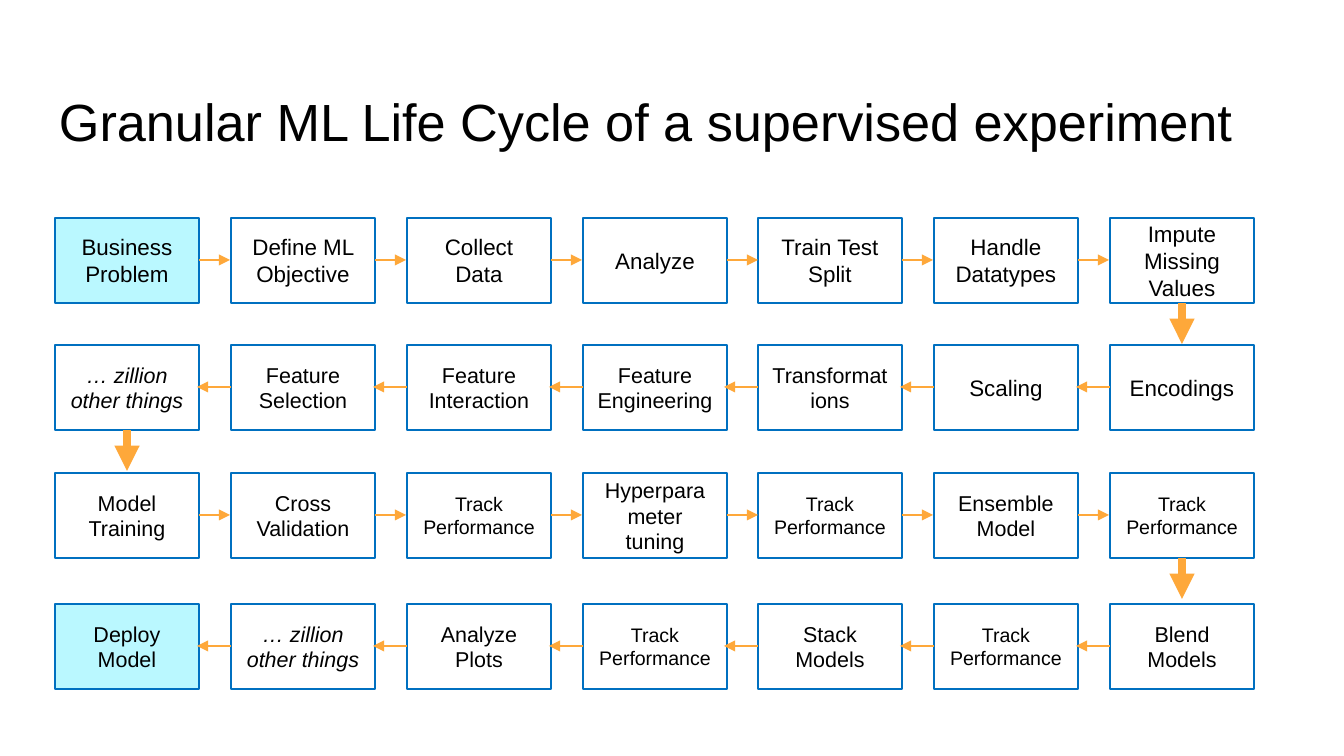
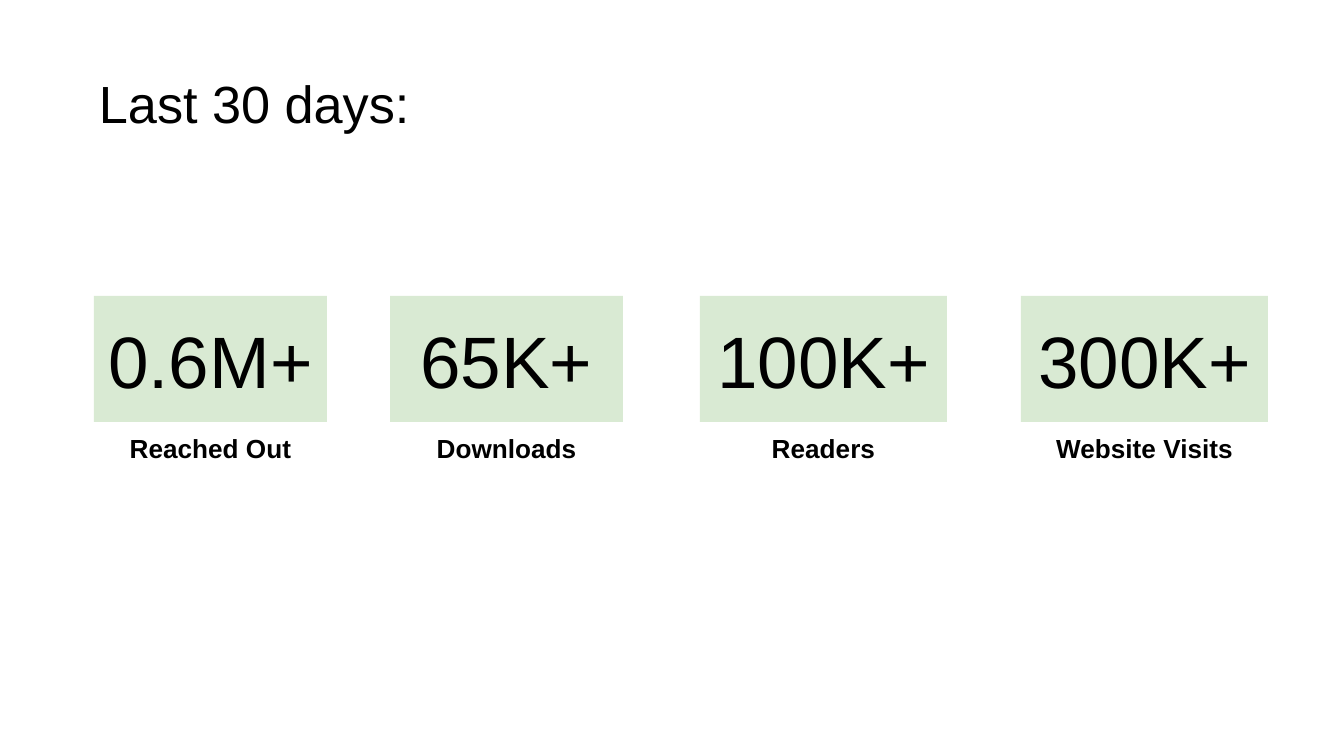
"""Build two slides: a supervised ML life cycle and the reach of the last 30 days."""
from dataclasses import dataclass

from lxml.etree import SubElement
from pptx import Presentation
from pptx.dml.color import RGBColor as Color
from pptx.enum.shapes import MSO_CONNECTOR as Connector, MSO_SHAPE as Preset
from pptx.enum.text import MSO_ANCHOR as Anchor, PP_ALIGN as Align
from pptx.oxml.ns import qn
from pptx.util import Emu, Pt

PX_PER_INCH = 134.4
SLIDE_WIDTH, SLIDE_HEIGHT = 1344, 756


@dataclass(frozen=True)
class Theme:
    font: str = "Arial"
    text: str = "000000"
    background: str = "FFFFFF"
    box_line: str = "0070C0"
    endpoint_fill: str = "BAF8FF"
    arrow: str = "FEA83A"
    stat_fill: str = "D9EAD3"
    title_size: float = 28
    title_spacing: float = 1.15
    early_size: float = 12
    step_size: float = 11.5
    track_size: float = 10.5
    stat_size: float = 39
    label_size: float = 14
    box_line_width: float = 1
    arrow_width: float = 0.75
    turn_width: float = 4.5
    inset: int = 13


THEME = Theme()

CYCLE_TITLE = ("Granular ML Life Cycle of a supervised experiment", (46, 73, 1253, 85))
TRACK, OTHER = "Track Performance", "… zillion other things"
CYCLE_ROWS = [
    (218, ["Business Problem", "Define ML Objective", "Collect Data", "Analyze",
           "Train Test Split", "Handle Datatypes", "Impute Missing Values"]),
    (345, ["Encodings", "Scaling", "Transformations", "Feature Engineering",
           "Feature Interaction", "Feature Selection", OTHER]),
    (473, ["Model Training", "Cross Validation", TRACK, "Hyperparameter tuning",
           TRACK, "Ensemble Model", TRACK]),
    (604, ["Blend Models", TRACK, "Stack Models", TRACK, "Analyze Plots", OTHER,
           "Deploy Model"]),
]
ENDPOINTS = {"Business Problem", "Deploy Model"}
EARLY_STEPS = set(CYCLE_ROWS[0][1]) | {"Encodings", "Scaling"}
FIRST_LEFT, LAST_LEFT = 55, 1110
BOX_WIDTH, BOX_HEIGHT = 144, 85
FORWARD_LENGTH, BACKWARD_LENGTH, TURN_LENGTH = 31, 34, 41

STATS_TITLE = ("Last 30 days:", (86, 55, 1195, 85))
STATS = [
    ("0.6M+", "Reached Out", 94, 233),
    ("65K+", "Downloads", 390, 233),
    ("100K+", "Readers", 700, 247),
    ("300K+", "Website Visits", 1021, 247),
]
STAT_TOP, STAT_HEIGHT = 296, 126
LABEL_TOP, LABEL_WIDTH, LABEL_HEIGHT = 418, 233, 60


def px(length):
    return Emu(round(length * 914400 / PX_PER_INCH))


def write(shape, text, size, align=Align.CENTER, bold=False, italic=False, inset=THEME.inset):
    frame = shape.text_frame
    frame.word_wrap = True
    frame.vertical_anchor = Anchor.MIDDLE
    frame.margin_left = frame.margin_right = px(THEME.inset)
    frame.margin_top = frame.margin_bottom = px(inset)
    paragraph = frame.paragraphs[0]
    paragraph.text = text
    paragraph.alignment = align
    font = paragraph.font
    font.name, font.size, font.bold, font.italic = THEME.font, Pt(size), bold, italic
    font.color.rgb = Color.from_string(THEME.text)
    return paragraph


def add_text(slide, area, text, size, **style):
    return write(slide.shapes.add_textbox(*map(px, area)), text, size, **style)


def add_box(slide, area, fill=None, line=None):
    shape = slide.shapes.add_shape(Preset.RECTANGLE, *map(px, area))
    shape.shadow.inherit = False
    if fill:
        shape.fill.solid()
        shape.fill.fore_color.rgb = Color.from_string(fill)
    else:
        shape.fill.background()
    if line:
        shape.line.color.rgb = Color.from_string(line)
        shape.line.width = Pt(THEME.box_line_width)
    else:
        shape.line.fill.background()
    return shape


def add_arrow(slide, start, end, width):
    arrow = slide.shapes.add_connector(Connector.STRAIGHT, *map(px, start + end))
    arrow.line.color.rgb = Color.from_string(THEME.arrow)
    arrow.line.width = Pt(width)
    SubElement(arrow.line._get_or_add_ln(), qn("a:tailEnd"), type="triangle")
    SubElement(arrow._element.spPr, qn("a:effectLst"))


def add_slide(presentation, title, area):
    slide = presentation.slides.add_slide(presentation.slide_layouts[6])
    slide.background.fill.solid()
    slide.background.fill.fore_color.rgb = Color.from_string(THEME.background)
    heading = add_text(slide, area, title, THEME.title_size, align=Align.LEFT)
    heading.line_spacing = THEME.title_spacing
    return slide


def step_size(step):
    if step == TRACK:
        return THEME.track_size
    return THEME.early_size if step in EARLY_STEPS else THEME.step_size


def build_cycle(presentation):
    slide = add_slide(presentation, *CYCLE_TITLE)
    for row, (top, steps) in enumerate(CYCLE_ROWS):
        forward = row % 2 == 0
        last = len(steps) - 1
        middle = top + BOX_HEIGHT // 2
        lefts = [FIRST_LEFT + round(column * (LAST_LEFT - FIRST_LEFT) / last)
                 for column in range(len(steps))]
        if not forward:
            lefts.reverse()
        for left, step in zip(lefts, steps):
            fill = THEME.endpoint_fill if step in ENDPOINTS else None
            box = add_box(slide, (left, top, BOX_WIDTH, BOX_HEIGHT), fill, THEME.box_line)
            write(box, step, step_size(step), italic=step == OTHER, inset=THEME.inset // 2)
        for left in lefts[:-1]:
            start = left + BOX_WIDTH if forward else left
            end = start + FORWARD_LENGTH if forward else start - BACKWARD_LENGTH
            add_arrow(slide, (start, middle), (end, middle), THEME.arrow_width)
        if row < len(CYCLE_ROWS) - 1:
            center, bottom = lefts[-1] + BOX_WIDTH // 2, top + BOX_HEIGHT
            add_arrow(slide, (center, bottom), (center, bottom + TURN_LENGTH), THEME.turn_width)


def build_stats(presentation):
    slide = add_slide(presentation, *STATS_TITLE)
    for value, label, left, width in STATS:
        box = add_box(slide, (left, STAT_TOP, width, STAT_HEIGHT), THEME.stat_fill)
        write(box, value, THEME.stat_size)
        label_left = left + (width - LABEL_WIDTH) // 2
        add_text(slide, (label_left, LABEL_TOP, LABEL_WIDTH, LABEL_HEIGHT), label,
                 THEME.label_size, bold=True)


def main():
    presentation = Presentation()
    presentation.slide_width, presentation.slide_height = px(SLIDE_WIDTH), px(SLIDE_HEIGHT)
    build_cycle(presentation)
    build_stats(presentation)
    presentation.save("out.pptx")


if __name__ == "__main__":
    main()
